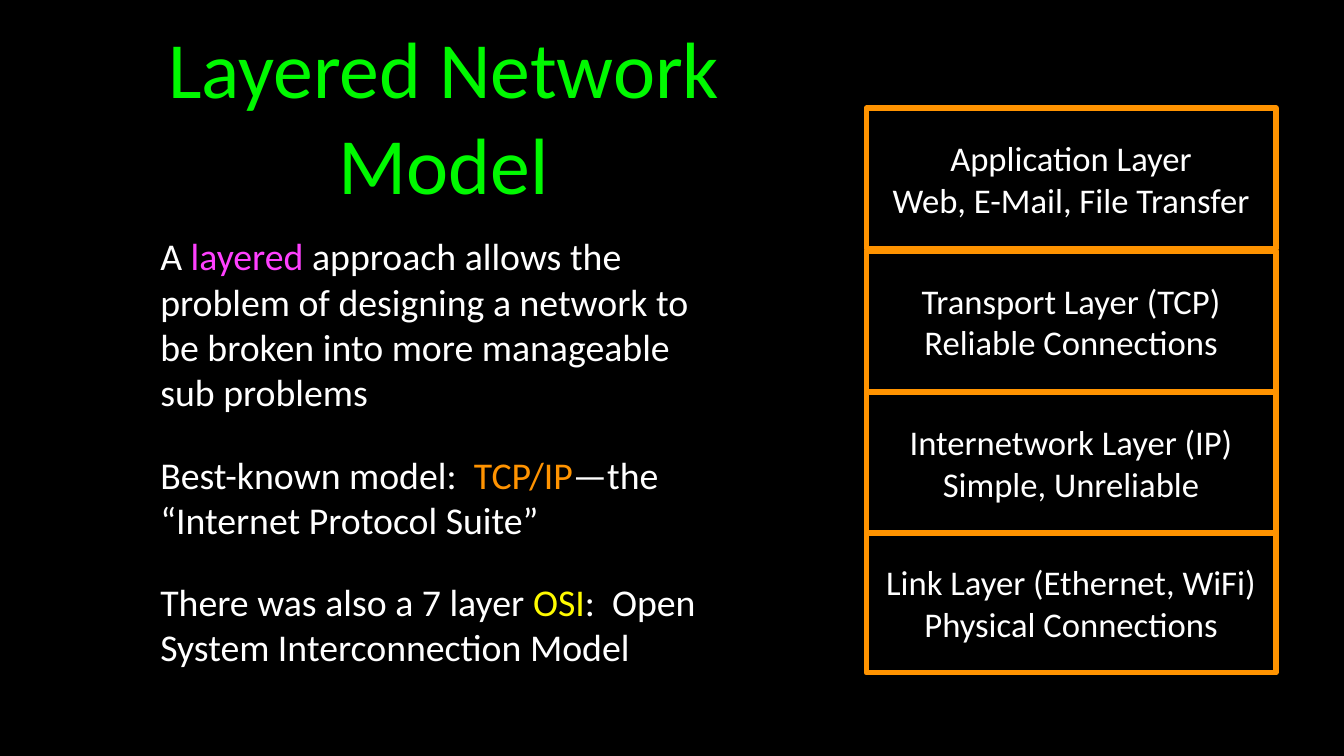
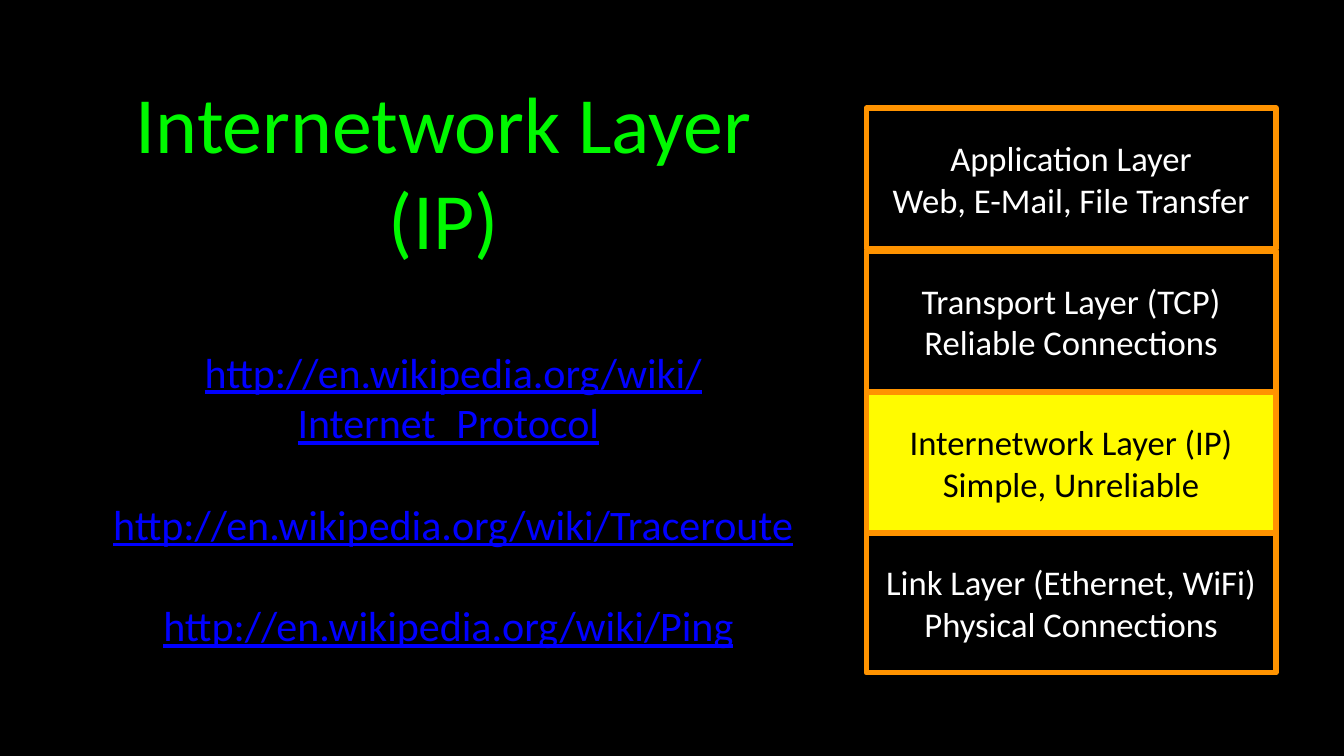
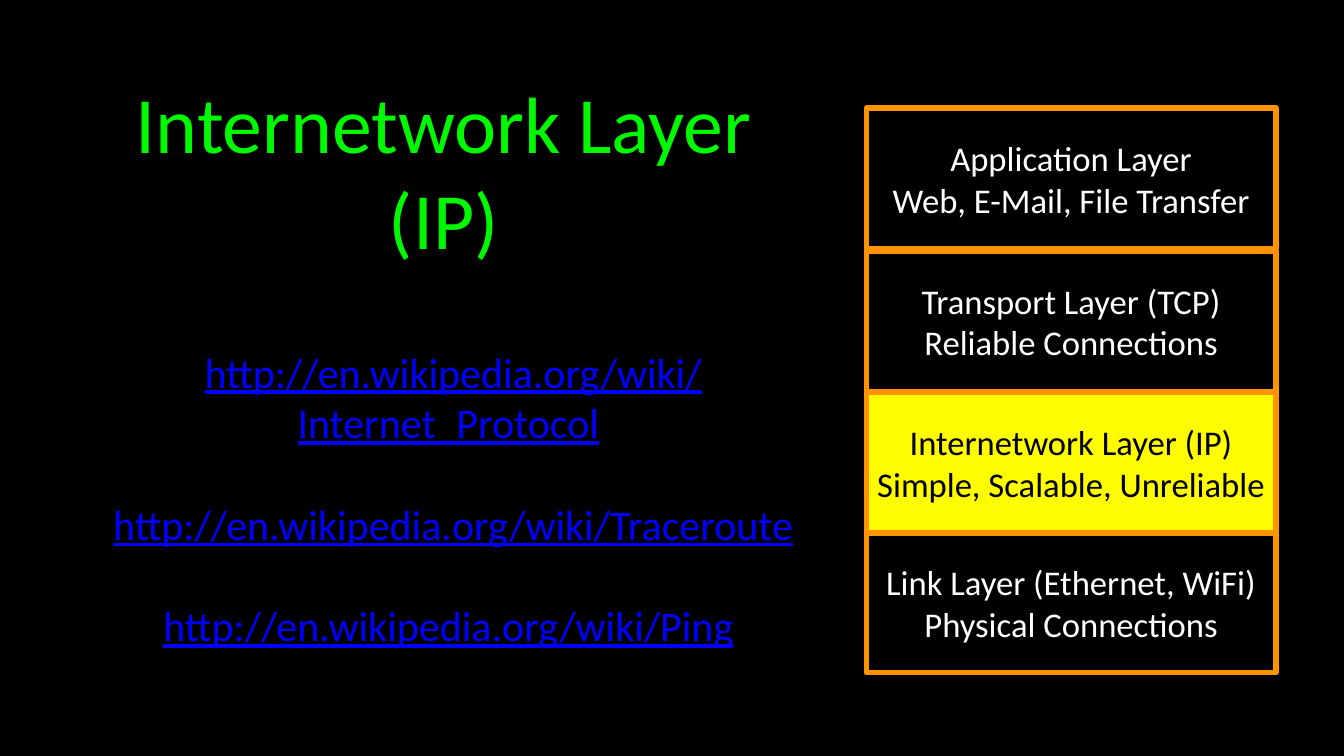
"""Build three slides on the layered network model."""
from dataclasses import dataclass

from pptx import Presentation
from pptx import util as u
from pptx.dml.color import RGBColor
from pptx.enum import shapes, text


@dataclass(frozen=True)
class Theme:
    font: str = "Calibri"
    background: str = "000000"
    title: str = "00F900"
    body: str = "FFFFFF"
    link: str = "0000FF"
    accent: str = "FF9300"
    highlight: str = "FFFB00"
    emphasis: str = "FF40FF"
    title_size: int = 76
    body_size: int = 36
    link_size: int = 40
    layer_size: int = 33
    border: int = 5


THEME = Theme()
MODEL_POINTS = [
    [("A ", THEME.body), ("layered", THEME.emphasis),
     (" approach allows the problem of designing a network to be broken "
      "into more manageable sub problems", THEME.body)],
    [("Best-known model:  ", THEME.body), ("TCP/IP", THEME.accent),
     ("—the “Internet Protocol Suite”", THEME.body)],
    [("There was also a 7 layer ", THEME.body), ("OSI", THEME.highlight),
     (":  Open System Interconnection Model", THEME.body)],
]
LINKS = [
    [("http://en.wikipedia.org/wiki/Internet_Protocol", THEME.link), (" ", THEME.body)],
    [("http://en.wikipedia.org/wiki/Traceroute", THEME.link)],
    [("http://en.wikipedia.org/wiki/Ping", THEME.link), (" ", THEME.body)],
]
LAYERS = [
    ("Application Layer", "Web, E-Mail, File Transfer"),
    ("Transport Layer (TCP)", "Reliable Connections"),
    ("Internetwork Layer (IP)", "Simple, Unreliable"),
    ("Link Layer (Ethernet, WiFi)", "Physical Connections"),
]
INTERNETWORK = 2
SCALABLE_LAYERS = [*LAYERS]
SCALABLE_LAYERS[INTERNETWORK] = ("Internetwork Layer (IP)", "Simple, Scalable, Unreliable")
IP_TITLE = ["Internetwork Layer", "(IP)"]
SLIDES = [
    {"title": ["Layered Network Model"], "title_top": 0.26, "points": MODEL_POINTS,
     "layers": LAYERS, "active": None},
    {"title": IP_TITLE, "title_top": 0.99, "links": LINKS,
     "layers": LAYERS, "active": INTERNETWORK},
    {"title": IP_TITLE, "title_top": 0.99, "links": LINKS,
     "layers": SCALABLE_LAYERS, "active": INTERNETWORK},
]
LAYER_TOPS = [1.43, 3.32, 5.19, 7.04]
LAYER_LEFT, LAYER_WIDTH, LAYER_HEIGHT = 11.46, 5.42, 1.86
LINE_HEIGHT = 1.22


def rgb(color):
    return RGBColor.from_string(color)


def plain(lines, color):
    return [[(line, color)] for line in lines]


def write(shape, paragraphs, size, align=text.PP_ALIGN.CENTER, gap=0, inset=0.04,
          anchor=text.MSO_ANCHOR.MIDDLE, left_margin=0):
    frame = shape.text_frame
    frame.word_wrap = True
    frame.vertical_anchor = anchor
    frame.margin_left = frame.margin_right = u.Inches(inset)
    frame.margin_top = frame.margin_bottom = u.Inches(inset)
    for index, runs in enumerate(paragraphs):
        paragraph = frame.add_paragraph() if index else frame.paragraphs[0]
        paragraph.alignment = align
        if index and gap:
            paragraph.space_before = u.Pt(gap)
        if left_margin:
            properties = paragraph._p.get_or_add_pPr()
            properties.set("marL", str(u.Inches(left_margin)))
            properties.set("indent", "0")
        paragraph.font.name = THEME.font
        paragraph.font.size = u.Pt(size)
        for content, color in runs:
            run = paragraph.add_run()
            run.text = content
            run.font.color.rgb = rgb(color)
            if color == THEME.link:
                run.font.underline = True


def add_text(slide, box, paragraphs, size, **options):
    shape = slide.shapes.add_textbox(*map(u.Inches, box))
    write(shape, paragraphs, size, **options)


def add_layers(slide, layers, active):
    for index, (top, lines) in enumerate(zip(LAYER_TOPS, layers)):
        box = (LAYER_LEFT, top, LAYER_WIDTH, LAYER_HEIGHT)
        shape = slide.shapes.add_shape(shapes.MSO_SHAPE.RECTANGLE, *map(u.Inches, box))
        shape.shadow.inherit = False
        shape.line.color.rgb = rgb(THEME.accent)
        shape.line.width = u.Pt(THEME.border)
        color = THEME.body
        if index == active:
            shape.fill.solid()
            shape.fill.fore_color.rgb = rgb(THEME.highlight)
            color = THEME.background
        else:
            shape.fill.background()
        write(shape, plain(lines, color), THEME.layer_size, inset=0)


def main():
    presentation = Presentation()
    presentation.slide_width = u.Inches(17.78)
    presentation.slide_height = u.Inches(10)
    background = presentation.slide_master.background.fill
    background.solid()
    background.fore_color.rgb = rgb(THEME.background)
    for content in SLIDES:
        slide = presentation.slides.add_slide(presentation.slide_layouts[6])
        add_text(slide, (1.26, content["title_top"], 9.22, 2.51),
                 plain(content["title"], THEME.title), THEME.title_size)
        if "points" in content:
            add_text(slide, (1.26, 2.85, 8.31, 6.24), content["points"], THEME.body_size,
                     align=text.PP_ALIGN.LEFT, gap=35, left_margin=0.82)
        add_layers(slide, content["layers"], content["active"])
        if "links" in content:
            add_text(slide, (0.71, 4.54, 10.57, 3.88), content["links"], THEME.link_size,
                     gap=THEME.link_size * LINE_HEIGHT, anchor=text.MSO_ANCHOR.TOP)
    presentation.save("out.pptx")


if __name__ == "__main__":
    main()
